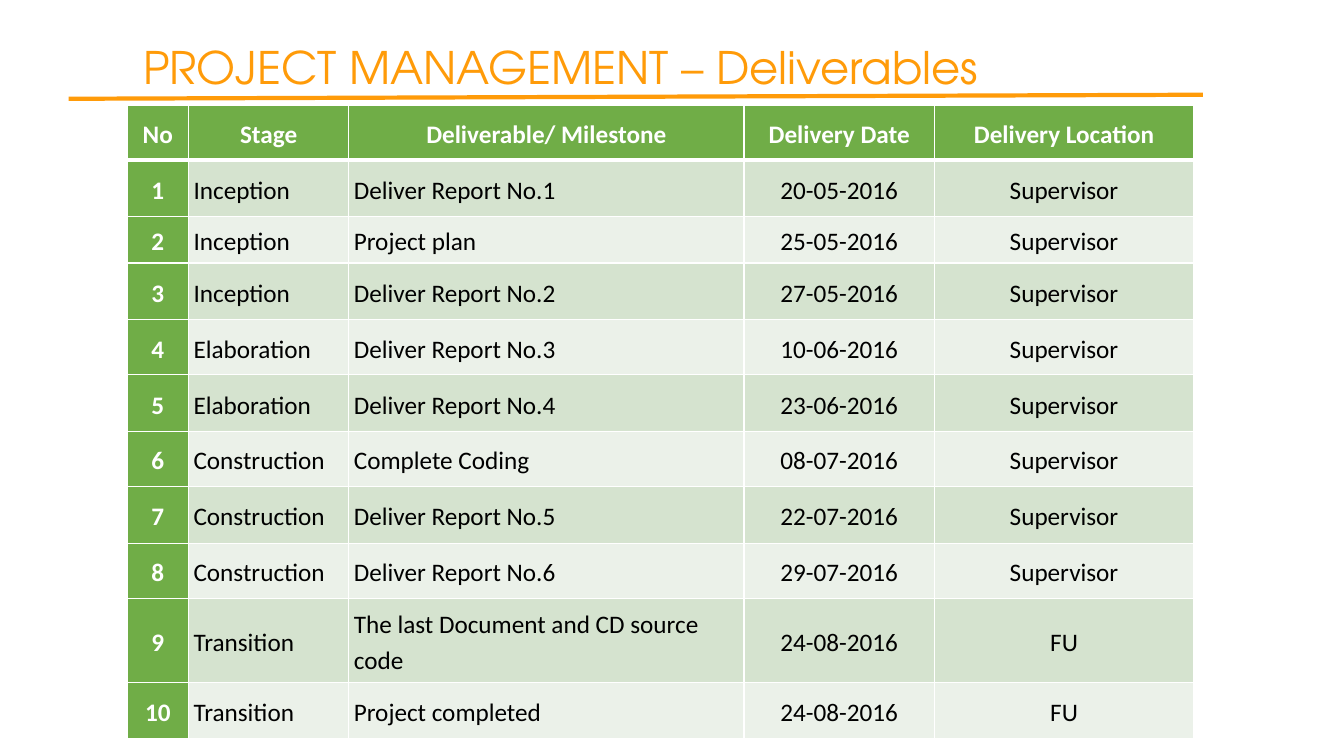
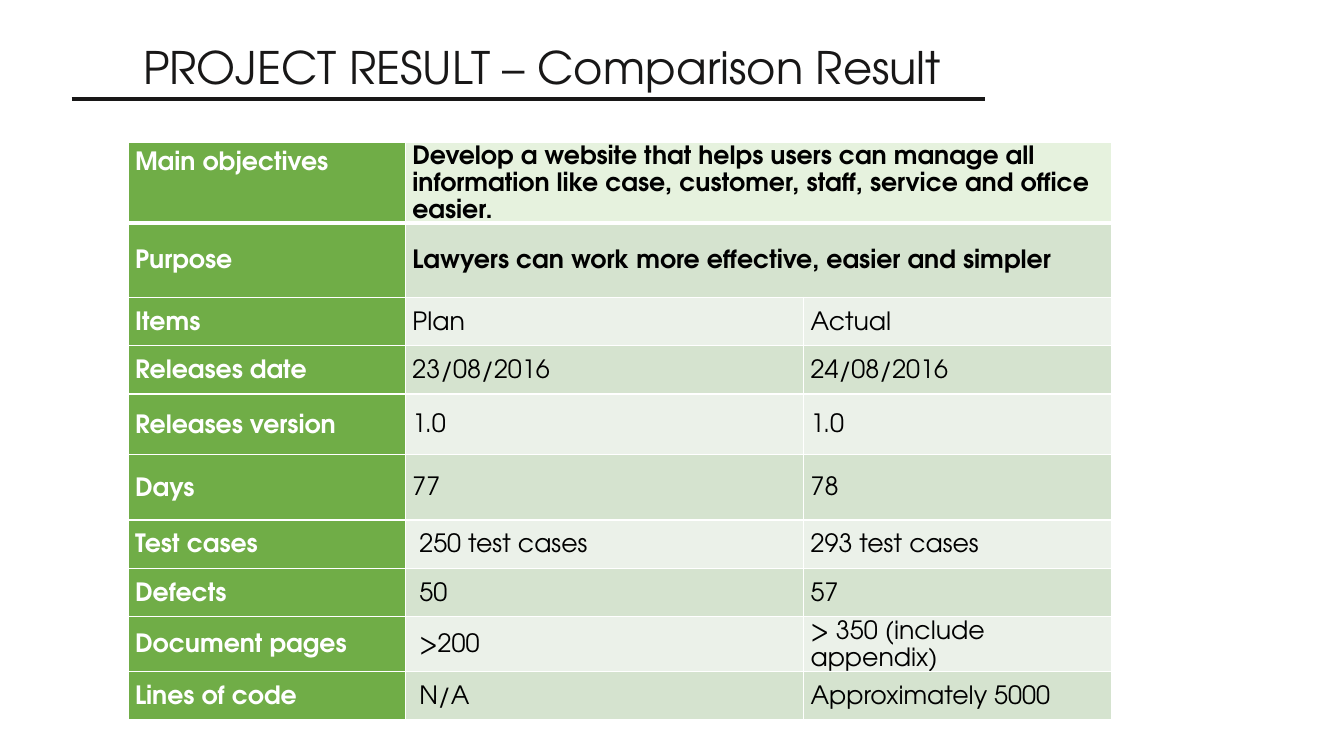
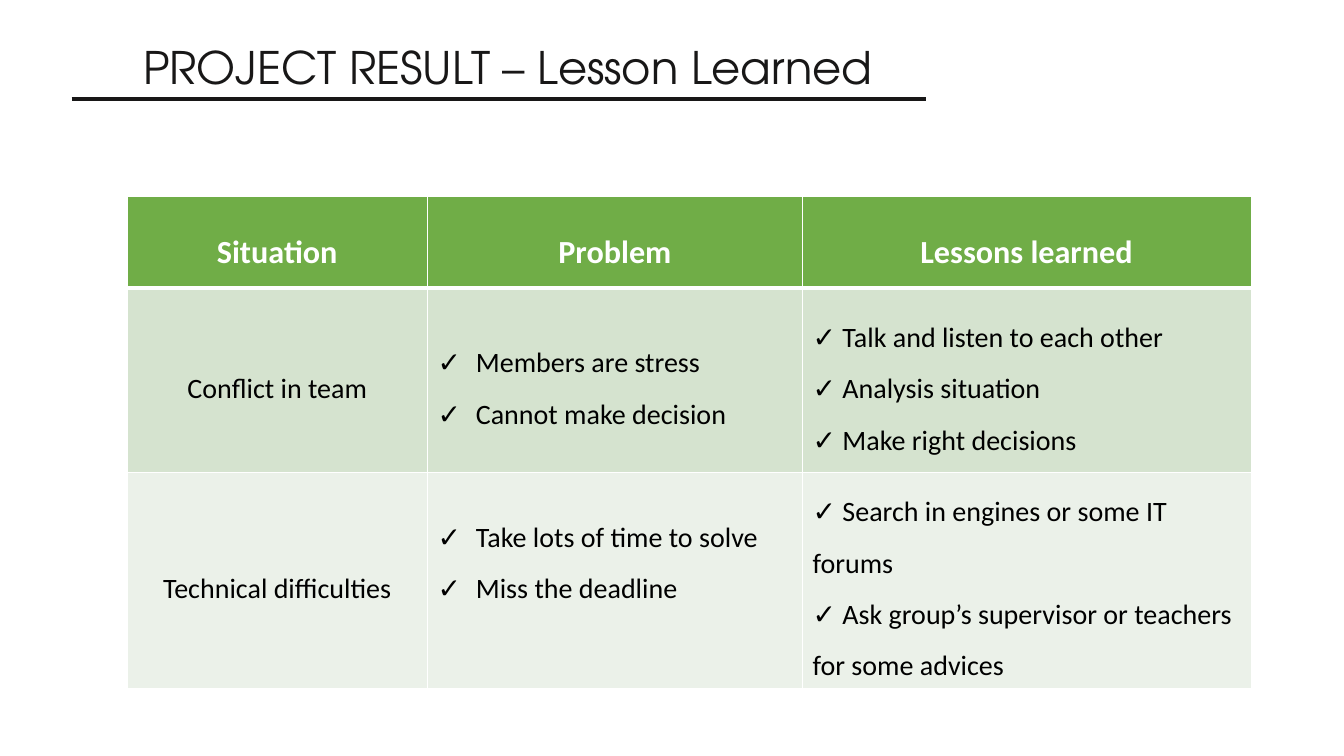
"""Build three project report slides, each with a ruled title and a table."""
from lxml.etree import SubElement
from pptx import Presentation
from pptx.dml.color import RGBColor
from pptx.enum.shapes import MSO_CONNECTOR
from pptx.enum.text import MSO_ANCHOR, MSO_AUTO_SIZE, PP_ALIGN
from pptx.oxml.ns import qn
from pptx.util import Inches, Pt

WHITE, BLACK, INK, ORANGE = "FFFFFF", "000000", "181717", "FF9B09"
GREEN, BAND_DARK, BAND_LIGHT, OBJECTIVE = "70AD47", "D5E3CF", "EBF1E9", "E6F2DE"
TITLE_FONT, BODY_FONT = "TeX Gyre Adventor", "Calibri"
LEFT, CENTER = PP_ALIGN.LEFT, PP_ALIGN.CENTER

DELIVERABLES = [
    ("No", "Stage", "Deliverable/ Milestone", "Delivery Date", "Delivery Location"),
    ("1", "Inception", "Deliver Report No.1", "20-05-2016", "Supervisor"),
    ("2", "Inception", "Project plan", "25-05-2016", "Supervisor"),
    ("3", "Inception", "Deliver Report No.2", "27-05-2016", "Supervisor"),
    ("4", "Elaboration", "Deliver Report No.3", "10-06-2016", "Supervisor"),
    ("5", "Elaboration", "Deliver Report No.4", "23-06-2016", "Supervisor"),
    ("6", "Construction", "Complete Coding", "08-07-2016", "Supervisor"),
    ("7", "Construction", "Deliver Report No.5", "22-07-2016", "Supervisor"),
    ("8", "Construction", "Deliver Report No.6", "29-07-2016", "Supervisor"),
    ("9", "Transition", "The last Document and CD source code", "24-08-2016", "FU"),
    ("10", "Transition", "Project completed", "24-08-2016", "FU"),
]
COMPARISON = [
    ("Main objectives", "Develop a website that helps users can manage all information "
     "like case, customer, staff, service and office easier."),
    ("Purpose", "Lawyers can work more effective, easier and simpler"),
    ("Items", "Plan", "Actual"),
    ("Releases date", "23/08/2016", "24/08/2016"),
    ("Releases version", "1.0", "1.0"),
    ("Days", "77", "78"),
    ("Test cases", " 250 test cases", "293 test cases"),
    ("Defects", " 50", "57"),
    ("Document pages", " >200", "> 350 (include appendix)"),
    ("Lines of code", " N/A", "Approximately 5000"),
]
LESSONS = [
    ("Situation", "Problem", "Lessons learned"),
    ("Conflict in team",
     ["Members are stress", "Cannot make decision"],
     [" Talk and listen to each other", " Analysis situation", " Make right decisions"]),
    ("Technical difficulties",
     ["Take lots of time to solve", "Miss the deadline"],
     [" Search in engines or some IT forums",
      " Ask group’s supervisor or teachers for some advices"]),
]

SLIDES = [
    dict(title="PROJECT MANAGEMENT – Deliverables", color=ORANGE, width=8.76,
         rule=(0.68, 0.98, 11.93, 0.94), rows=DELIVERABLES, at=(1.26, 1.05),
         columns=[0.61, 1.59, 3.92, 1.89, 2.57],
         heights=[0.54, 0.56, 0.46] + [0.56, 0.55] * 3 + [0.83, 0.56],
         aligns=[CENTER, LEFT, LEFT, CENTER, CENTER], font=BODY_FONT, size=18,
         head_size=18, head_space=6, spacing=1.15, inset=(0.05, 0),
         head_row=True, head_column=True),
    dict(title="PROJECT RESULT – Comparison Result", color=INK, width=8.45,
         rule=(0.71, 0.98, 9.77, 0.98), rows=COMPARISON, at=(1.27, 1.41),
         columns=[2.75, 3.95, 3.05],
         heights=[0.8, 0.74, 0.48, 0.48, 0.6, 0.65, 0.48, 0.48, 0.54, 0.48],
         aligns=[LEFT] * 3, font=TITLE_FONT, size=18,
         head_size=18, head_space=0, spacing=1.15, inset=(0.07, 0),
         head_row=False, head_column=True),
    dict(title="PROJECT RESULT – Lesson Learned", color=INK, width=7.85,
         rule=(0.71, 0.98, 9.18, 0.98), rows=LESSONS, at=(1.26, 1.95),
         columns=[2.98, 3.72, 4.45], heights=[0.91, 1.83, 2.14],
         aligns=[CENTER] * 3, font=BODY_FONT, size=20,
         head_size=23, head_space=0, spacing=1.5, inset=(0.1, 0.05),
         head_row=True, head_column=False),
]
BULLET_INDENTS = {1: 0.38, 2: 0}


def rgb(value):
    """Turn a hex string into a colour."""
    return RGBColor.from_string(value)


def add_text(para, text, font, size, color, bold=False):
    """Add one formatted run to a paragraph."""
    span = para.add_run()
    span.text = text
    span.font.name, span.font.size, span.font.bold = font, Pt(size), bold
    span.font.color.rgb = rgb(color)


def add_heading(page, item):
    """Fill the title placeholder and draw the rule below it."""
    box = page.shapes.title
    box.left, box.top = Inches(1.32), Inches(0.34)
    box.width, box.height = Inches(item["width"]), Inches(0.64)
    frame = box.text_frame
    frame.word_wrap, frame.auto_size = False, MSO_AUTO_SIZE.NONE
    frame.vertical_anchor = MSO_ANCHOR.TOP
    para = frame.paragraphs[0]
    para.alignment = LEFT
    add_text(para, item["title"], TITLE_FONT, 32, item["color"])
    rule = page.shapes.add_connector(MSO_CONNECTOR.STRAIGHT, *map(Inches, item["rule"]))
    rule.line.color.rgb, rule.line.width = rgb(item["color"]), Pt(3)
    SubElement(rule._element.spPr, qn("a:effectLst"))


def add_bullet(para, indent):
    """Give a paragraph a check mark and a hanging indent."""
    properties = para._p.get_or_add_pPr()
    properties.set("marL", str(Inches(indent)))
    properties.set("indent", str(-Inches(indent)))
    SubElement(properties, qn("a:buFont")).set("typeface", BODY_FONT)
    SubElement(properties, qn("a:buChar")).set("char", "✓")


def paint_cell(cell, fill, bottom):
    """Draw white borders and fill the cell."""
    properties = cell._tc.get_or_add_tcPr()
    for side, weight in (("L", 1), ("R", 1), ("T", 1), ("B", bottom)):
        line = SubElement(properties, qn(f"a:ln{side}"), w=str(Pt(weight)))
        SubElement(SubElement(line, qn("a:solidFill")), qn("a:srgbClr"), val=WHITE)
    cell.fill.solid()
    cell.fill.fore_color.rgb = rgb(fill)


def fill_cell(cell, content, column, item, head, in_head_row, bold):
    """Write plain text or a checked list into a cell."""
    across, down = map(Inches, item["inset"])
    cell.margin_left = cell.margin_right = across
    cell.margin_top = cell.margin_bottom = down
    cell.vertical_anchor = MSO_ANCHOR.MIDDLE
    listed = isinstance(content, list)
    for index, text in enumerate(content if listed else [content]):
        frame = cell.text_frame
        para = frame.add_paragraph() if index else frame.paragraphs[0]
        para.alignment = LEFT if listed else CENTER if in_head_row else item["aligns"][column]
        para.line_spacing = item["spacing"]
        space = item["head_space"] if in_head_row else 0
        para.space_before = para.space_after = Pt(space)
        if listed:
            add_bullet(para, BULLET_INDENTS[column])
        add_text(para, text, item["font"], item["head_size" if head else "size"],
                 WHITE if head else BLACK, bold)


def add_grid(page, item):
    """Build the table with its green heads and banded rows."""
    rows, columns, heights = item["rows"], item["columns"], item["heights"]
    frame = page.shapes.add_table(len(rows), len(columns), *map(Inches, item["at"]),
                                  Inches(sum(columns)), Inches(sum(heights)))
    table = frame.table
    for column, width in zip(table.columns, columns):
        column.width = Inches(width)
    for r, (row, height) in enumerate(zip(rows, heights)):
        table.rows[r].height = Inches(height)
        in_head_row = item["head_row"] and r == 0
        band = BAND_DARK if r % 2 else BAND_LIGHT if r else OBJECTIVE
        for c in range(len(columns)):
            head = in_head_row or item["head_column"] and c == 0
            cell = table.cell(r, c)
            paint_cell(cell, GREEN if head else band, 1 if r else 3)
            if c < len(row):
                merged = len(row) < len(columns)
                fill_cell(cell, row[c], c, item, head, in_head_row, head or merged)
        if len(row) < len(columns):
            table.cell(r, len(row) - 1).merge(table.cell(r, len(columns) - 1))
    return table


def main():
    """Create the deck and save it."""
    deck = Presentation()
    deck.slide_width, deck.slide_height = Inches(13.33), Inches(7.5)
    tables = []
    for item in SLIDES:
        page = deck.slides.add_slide(deck.slide_layouts[5])
        tables.append(add_grid(page, item))
        add_heading(page, item)
    objectives = tables[1].cell(0, 0)
    objectives.vertical_anchor, objectives.margin_top = MSO_ANCHOR.TOP, Inches(0.06)
    tables[2].cell(2, 1).margin_bottom = Inches(0.56)
    deck.save("out.pptx")


if __name__ == "__main__":
    main()
